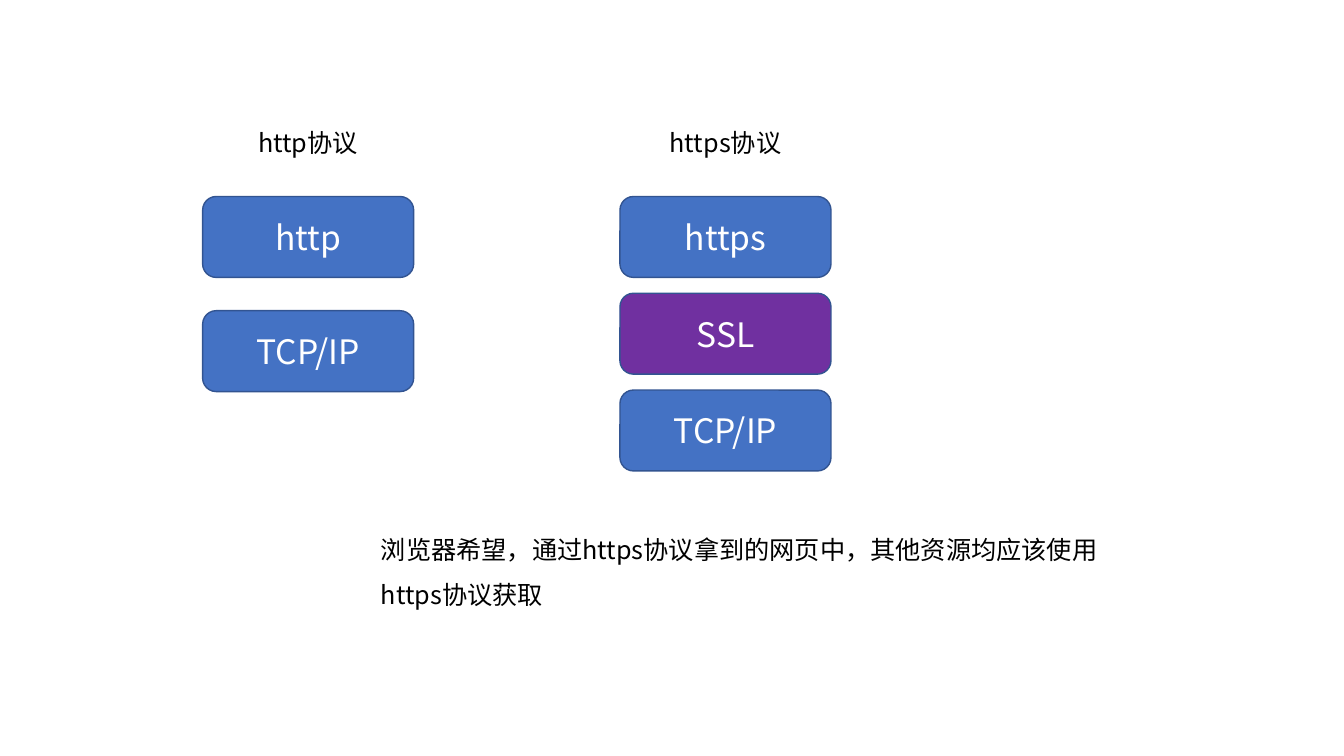
"""Build a slide comparing the http and https protocol stacks."""
from pptx import Presentation
from pptx.dml.color import RGBColor
from pptx.enum.shapes import MSO_SHAPE
from pptx.enum.text import MSO_ANCHOR, MSO_AUTO_SIZE, PP_ALIGN
from pptx.oxml.ns import qn
from pptx.util import Inches, Pt

BLUE = RGBColor(0x44, 0x72, 0xC4)
PURPLE = RGBColor(0x70, 0x30, 0xA0)
OUTLINE = RGBColor(0x32, 0x54, 0x91)
WHITE = RGBColor(0xFF, 0xFF, 0xFF)
BLACK = RGBColor(0x00, 0x00, 0x00)

FONT = "Noto Sans CJK SC"
LAYER_WIDTH, LAYER_HEIGHT = 15.7, 10.7
LABEL_WIDTH, LABEL_HEIGHT = 15, 5.33
LABEL_TOP, STACK_TOP = 16.13, 26

STACKS = [
    ("http协议", 22.93, 15.1, [("http", BLUE), ("TCP/IP", BLUE)]),
    ("https协议", 53.98, 12.8, [("https", BLUE), ("SSL", PURPLE), ("TCP/IP", BLUE)]),
]
NOTE = "浏览器希望，通过https协议拿到的网页中，其他资源均应该使用https协议获取"


def apply(target, **values):
    """Set every given format value on the target."""
    for name, value in values.items():
        setattr(target, name, value)


class SlideBuilder:
    """Hold the style and page, placing elements in percent of its size."""

    def __init__(self, deck):
        """Add a blank page to the deck."""
        self.deck = deck
        self.page = deck.slides.add_slide(deck.slide_layouts[6])

    def frame(self, left, top, width, height):
        """Convert percentages of the slide into lengths."""
        across, down = self.deck.slide_width / 100, self.deck.slide_height / 100
        return [round(length) for length in
                (left * across, top * down, width * across, height * down)]

    def fill_text(self, box, text, size, color, **layout):
        """Put one formatted paragraph into the box."""
        box.text_frame.word_wrap = True
        para = box.text_frame.paragraphs[0]
        apply(para, **layout)
        span = para.add_run()
        span.text = text
        apply(span.font, name=FONT, size=Pt(size))
        span.font.color.rgb = color
        properties = span.font._element
        east_asian = properties.makeelement(qn("a:ea"), {"typeface": FONT})
        properties.find(qn("a:latin")).addnext(east_asian)

    def text(self, text, left, top, width, height, **layout):
        """Add a text box that grows with its text."""
        box = self.page.shapes.add_textbox(*self.frame(left, top, width, height))
        box.text_frame.auto_size = MSO_AUTO_SIZE.SHAPE_TO_FIT_TEXT
        self.fill_text(box, text, 18, BLACK, **layout)

    def layer(self, text, center, top, color):
        """Add one rounded protocol layer."""
        box = self.page.shapes.add_shape(
            MSO_SHAPE.ROUNDED_RECTANGLE,
            *self.frame(center - LAYER_WIDTH / 2, top, LAYER_WIDTH, LAYER_HEIGHT))
        box.shadow.inherit = False
        box.fill.solid()
        box.fill.fore_color.rgb = color
        box.line.color.rgb = OUTLINE
        box.line.width = Pt(1)
        box.text_frame.vertical_anchor = MSO_ANCHOR.MIDDLE
        self.fill_text(box, text, 24, WHITE, alignment=PP_ALIGN.CENTER)

    def stack(self, label, center, pitch, layers):
        """Add a labelled stack of evenly spaced layers."""
        self.text(label, center - LABEL_WIDTH / 2, LABEL_TOP,
                  LABEL_WIDTH, LABEL_HEIGHT, alignment=PP_ALIGN.CENTER)
        for row, (name, color) in enumerate(layers):
            self.layer(name, center, STACK_TOP + row * pitch, color)


def main():
    """Create and save the deck."""
    deck = Presentation()
    apply(deck, slide_width=Inches(13.33), slide_height=Inches(7.5))
    builder = SlideBuilder(deck)
    for stack in STACKS:
        builder.stack(*stack)
    builder.text(NOTE, 27.6, 68, 54.9, 12.8, line_spacing=1.5)
    deck.save("out.pptx")


main()
